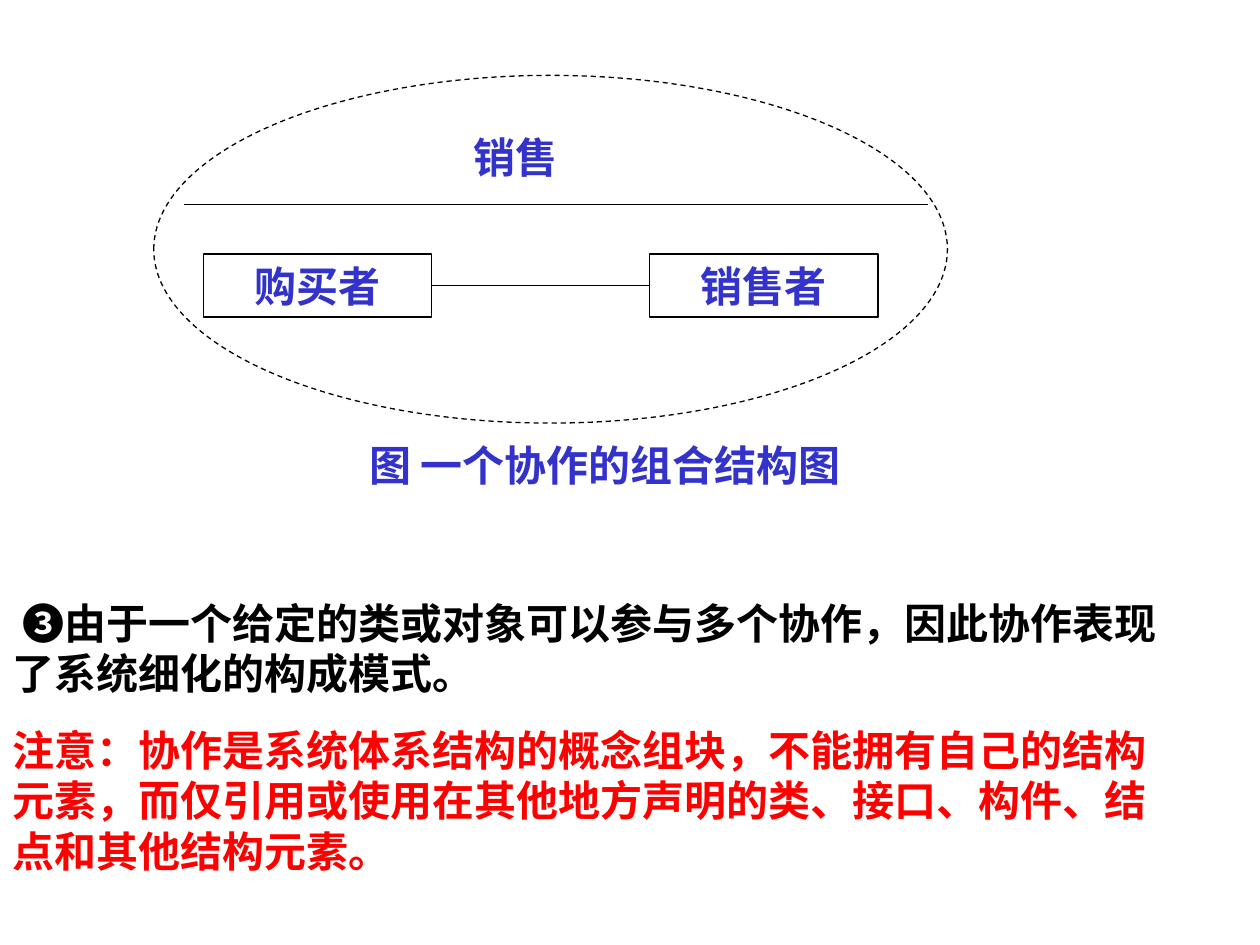
from lxml.etree import SubElement
from pptx import Presentation
from pptx.dml.color import RGBColor
from pptx.enum.dml import MSO_LINE_DASH_STYLE as Dash
from pptx.enum.shapes import MSO_CONNECTOR as Connector, MSO_SHAPE as Shape
from pptx.enum.text import MSO_ANCHOR as Anchor, PP_ALIGN as Align
from pptx.oxml.ns import qn
from pptx.util import Cm, Pt

BLACK = RGBColor(0x00, 0x00, 0x00)
WHITE = RGBColor(0xFF, 0xFF, 0xFF)
BLUE = RGBColor(0x33, 0x33, 0xCC)
RED = RGBColor(0xFF, 0x00, 0x00)
SERIF, SANS = "Times New Roman", "Arial"
LABEL_HEIGHT = 1.27


def add_span(para, text, color, font=SERIF):
    span = para.add_run()
    span.text = text
    span.font.name = font
    span.font.size = Pt(24)
    span.font.bold = True
    span.font.color.rgb = color


def fill_label(frame, text):
    frame.word_wrap = True
    frame.vertical_anchor = Anchor.TOP
    para = frame.paragraphs[0]
    para.alignment = Align.CENTER
    add_span(para, text, BLUE)


def add_label(page, text, left, top, width):
    box = page.shapes.add_textbox(Cm(left), Cm(top), Cm(width), Cm(LABEL_HEIGHT))
    fill_label(box.text_frame, text)


def add_outline(page, kind, left, top, width, height):
    shape = page.shapes.add_shape(kind, Cm(left), Cm(top), Cm(width), Cm(height))
    shape.shadow.inherit = False
    shape.fill.background()
    shape.line.color.rgb = BLACK
    shape.line.width = Pt(0.75)
    return shape


def add_role(page, text, left, top):
    role = add_outline(page, Shape.RECTANGLE, left, top, 4.6, LABEL_HEIGHT)
    role.fill.solid()
    role.fill.fore_color.rgb = WHITE
    fill_label(role.text_frame, text)
    return role


def add_line(page, start_x=0, end_x=0, y=0):
    line = page.shapes.add_connector(
        Connector.STRAIGHT, Cm(start_x), Cm(y), Cm(end_x), Cm(y))
    line.line.color.rgb = BLACK
    line.line.width = Pt(0.75)
    SubElement(line._element.spPr, qn("a:effectLst"))
    return line


def build_collaboration(page, left, top, width, height):
    # Dashed collaboration outline with its name compartment
    ellipse = add_outline(page, Shape.OVAL, left, top, width, height)
    ellipse.line.dash_style = Dash.DASH
    add_line(page, left + 0.6, left + width - 0.4, top + 2.6)
    add_label(page, "销售", left + 6, top + 1, 2.6)

    # Two roles joined by a link
    buyer = add_role(page, "购买者", left + 1, top + 3.6)
    seller = add_role(page, "销售者", left + 10, top + 3.6)
    link = add_line(page)
    link.begin_connect(buyer, 3)
    link.end_connect(seller, 1)

    # Caption under the outline
    add_label(page, "图 一个协作的组合结构图", left + 2.4, top + height + 0.2, 13.4)


def build_explanation(page, left, top, width, height):
    box = page.shapes.add_textbox(Cm(left), Cm(top), Cm(width), Cm(height))
    frame = box.text_frame
    frame.word_wrap = True

    # Numbered point
    point = frame.paragraphs[0]
    point._p.get_or_add_pPr().set("indent", str(Cm(0.21)))
    add_span(point, "❸", BLACK, SANS)
    add_span(point, "由于一个给定的类或对象可以参与多个协作，"
                    "因此协作表现了系统细化的构成模式。", BLACK)

    # Warning
    note = frame.add_paragraph()
    note.space_before = Pt(15)
    add_span(note, "注意：协作是系统体系结构的概念组块，不能拥有自己的结构元素，"
                   "而仅引用或使用在其他地方声明的类、接口、构件、"
                   "结点和其他结构元素。", RED)


def main():
    deck = Presentation()
    deck.slide_width, deck.slide_height = Cm(25.4), Cm(19.05)
    page = deck.slides.add_slide(deck.slide_layouts[6])
    build_explanation(page, 0, 11.92, 23.9, 5.87)
    build_collaboration(page, 3.1, 1.52, 16, 7.01)
    deck.save("out.pptx")


if __name__ == "__main__":
    main()
